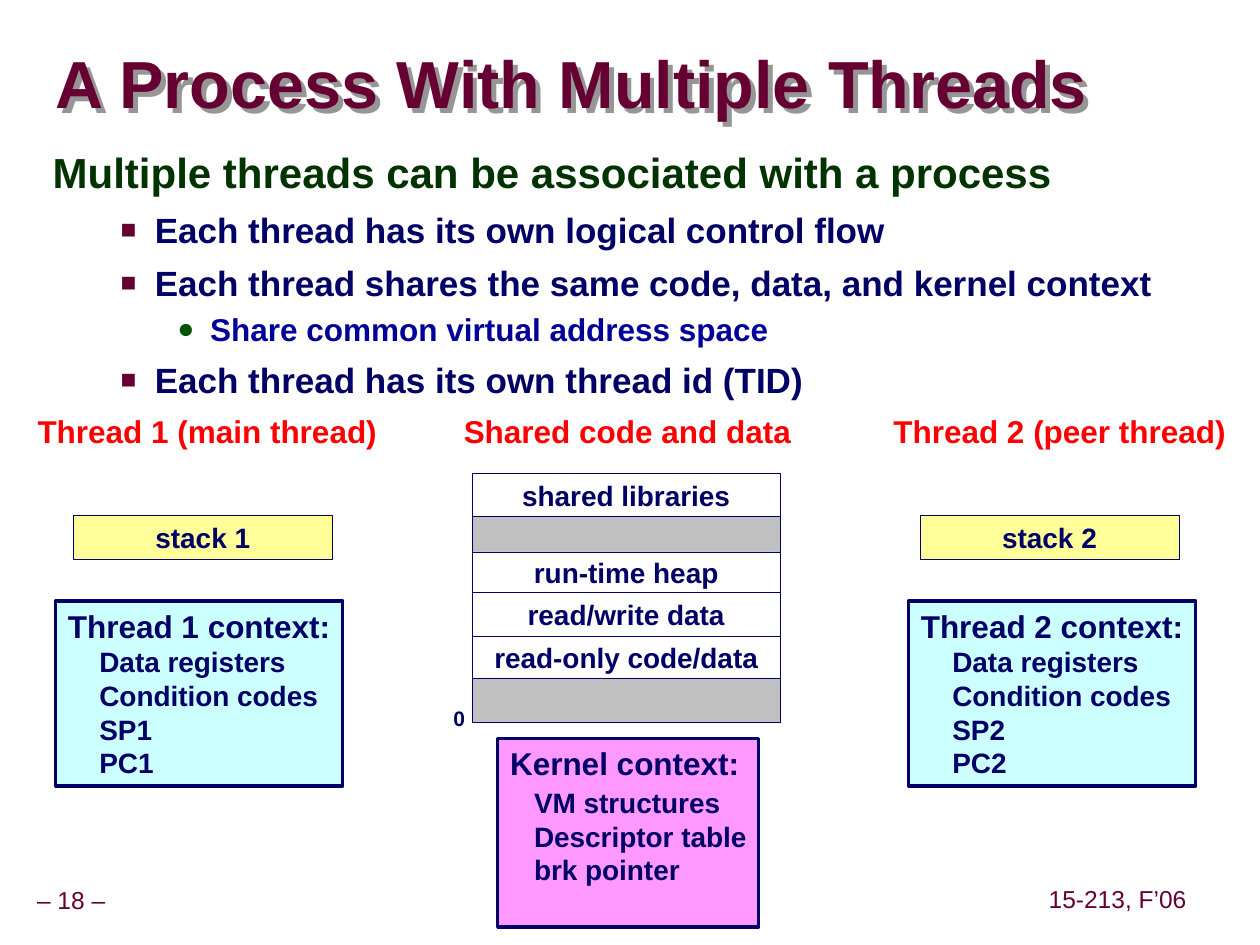
import pptx
import pptx.dml.color
import pptx.enum.shapes
import pptx.enum.text
import pptx.oxml
import pptx.oxml.ns
import pptx.util
from pptx.util import Inches

ALIGN = pptx.enum.text.PP_ALIGN
ANCHOR = pptx.enum.text.MSO_ANCHOR
NAMESPACE = pptx.oxml.ns.nsdecls("a")

MAROON, NAVY, RED = "660033", "000066", "FF0000"
WHITE, GRAY, YELLOW, CYAN, PINK = "FFFFFF", "C0C0C0", "FFFF99", "CCFFFF", "FF99FF"

MEMORY_ROWS = [
    ("shared libraries", 0.34, WHITE),
    ("", 0.28, GRAY),
    ("run-time heap", 0.32, WHITE),
    ("read/write data", 0.35, WHITE),
    ("read-only code/data", 0.33, WHITE),
    ("", 0.35, GRAY),
]
THREADS = [
    (1, "Thread 1 (main thread)", (0.2, 3.22, 2.89, 0.4), 0.58, 0.44),
    (2, "Thread 2 (peer thread)", (6.99, 3.22, 2.84, 0.4), 7.3, 7.21),
]


def color(value):
    return pptx.dml.color.RGBColor.from_string(value)


def apply(target, values):
    for name, value in values.items():
        setattr(target, name, value)


class SlideBuilder:
    font_name = "Arial"

    def __init__(self, slide):
        self.slide = slide

    def paragraph(self, frame, text, size, ink=NAVY, bold=True, margin=0,
                  hanging=0, bullet=None, **layout):
        first = frame.paragraphs[0]
        paragraph = first if not first.runs else frame.add_paragraph()
        properties = paragraph._p.get_or_add_pPr()
        properties.set("marL", str(Inches(margin)))
        properties.set("indent", str(-Inches(hanging)))
        if bullet:
            character, bullet_ink, percent = bullet
            for element in (
                f'<a:buClr {NAMESPACE}><a:srgbClr val="{bullet_ink}"/></a:buClr>',
                f'<a:buSzPct {NAMESPACE} val="{percent * 1000}"/>',
                f'<a:buFont {NAMESPACE} typeface="{self.font_name}"/>',
                f'<a:buChar {NAMESPACE} char="{character}"/>',
            ):
                properties.append(pptx.oxml.parse_xml(element))
        apply(paragraph, layout)
        run = paragraph.add_run()
        run.text = text
        apply(run.font, {"name": self.font_name, "bold": bold,
                         "size": pptx.util.Pt(size)})
        run.font.color.rgb = color(ink)

    def frame(self, shape, anchor=ANCHOR.MIDDLE, wrap=False,
              insets=(0.1, 0.05, 0.1, 0.05)):
        left, top, right, bottom = map(Inches, insets)
        apply(shape.text_frame, {
            "word_wrap": wrap, "vertical_anchor": anchor,
            "margin_left": left, "margin_top": top,
            "margin_right": right, "margin_bottom": bottom,
        })
        return shape.text_frame

    def text_box(self, box, **options):
        return self.frame(self.slide.shapes.add_textbox(*map(Inches, box)), **options)

    def label(self, box, text, size, **options):
        frame = self.text_box(box, wrap=True, insets=(0, 0.05, 0, 0.05))
        self.paragraph(frame, text, size, alignment=ALIGN.CENTER, **options)

    def title(self, box, text):
        shape = self.slide.shapes.add_textbox(*map(Inches, box))
        frame = self.frame(shape, wrap=True, insets=(0, 0, 0, 0))
        self.paragraph(frame, text, 38, MAROON, line_spacing=0.87)
        shape._element.spPr.append(pptx.oxml.parse_xml(
            f'<a:effectLst {NAMESPACE}><a:outerShdw dist="50800" dir="2700000">'
            '<a:srgbClr val="969696"/></a:outerShdw></a:effectLst>'))

    def rectangle(self, box, fill, line_width=0.25):
        shape = self.slide.shapes.add_shape(
            pptx.enum.shapes.MSO_SHAPE.RECTANGLE, *map(Inches, box))
        shape.shadow.inherit = False
        shape.fill.solid()
        shape.fill.fore_color.rgb = color(fill)
        shape.line.color.rgb = color(NAVY)
        shape.line.width = pptx.util.Pt(line_width)
        return shape

    def segment(self, box, text, fill):
        shape = self.rectangle(box, fill)
        if text:
            self.paragraph(self.frame(shape), text, 16, alignment=ALIGN.CENTER)

    def context(self, box, heading, items, fill, margin, gap=0):
        frame = self.frame(self.rectangle(box, fill, 2), anchor=ANCHOR.TOP,
                           wrap=True, insets=(0.1, 0.05, 0, 0.05))
        self.paragraph(frame, heading, 18, alignment=ALIGN.LEFT)
        for index, item in enumerate(items):
            space = pptx.util.Pt(0 if index else gap)
            self.paragraph(frame, item, 16, margin=margin,
                           alignment=ALIGN.LEFT, space_before=space)


def main():
    presentation = pptx.Presentation()
    presentation.slide_width = Inches(10)
    presentation.slide_height = Inches(7.5)
    builder = SlideBuilder(presentation.slides.add_slide(presentation.slide_layouts[6]))

    footer = {"ink": MAROON, "bold": False, "line_spacing": 0.9}
    builder.label((-0.09, 7, 1.31, 0.31), "– 18 –", 14, **footer)
    builder.label((8.27, 6.99, 1.2, 0.31), "15-213, F’06", 14, **footer)
    builder.title((0.44, 0.27, 9.53, 0.85), "A Process With Multiple Threads")

    body = builder.text_box((0.32, 1.14, 9.09, 2.1), anchor=ANCHOR.TOP, wrap=True)
    builder.paragraph(body, "Multiple threads can be associated with a process",
                      24, "003300", line_spacing=0.95)
    point = {"size": 20, "margin": 0.81, "hanging": 0.27,
             "bullet": ("■", MAROON, 75), "space_before": pptx.util.Pt(6.2)}
    detail = {"size": 18, "ink": "000099", "margin": 1.25, "hanging": 0.26,
              "bullet": ("●", "005400", 90), "line_spacing": 1.07,
              "space_before": pptx.util.Pt(2.2)}
    for text, style in (
        ("Each thread has its own logical control flow", point),
        ("Each thread shares the same code, data, and kernel context", point),
        ("Share common virtual address space", detail),
        ("Each thread has its own thread id (TID)", point),
    ):
        builder.paragraph(body, text, **style)

    builder.label((3.55, 3.22, 2.86, 0.4), "Shared code and data", 18, ink=RED)
    top = 3.76
    for text, height, fill in MEMORY_ROWS:
        builder.segment((3.75, top, 2.44, height), text, fill)
        top += height
    zero = builder.text_box((3.5, 5.55, 0.29, 0.3), anchor=ANCHOR.TOP, wrap=True,
                            insets=(0.1, 0.05, 0, 0.05))
    builder.paragraph(zero, "0", 12)

    for number, heading, heading_box, stack_left, context_left in THREADS:
        builder.label(heading_box, heading, 18, ink=RED)
        builder.segment((stack_left, 4.09, 2.06, 0.35), f"stack {number}", YELLOW)
        builder.context(
            (context_left, 4.77, 2.28, 1.47), f"Thread {number} context:",
            ["Data registers", "Condition codes", f"SP{number}", f"PC{number}"],
            CYAN, 0.25)
    builder.context((3.95, 5.86, 2.07, 1.5), "Kernel context:",
                    ["VM structures", "Descriptor table", "brk pointer"],
                    PINK, 0.19, gap=2)

    presentation.save("out.pptx")


if __name__ == "__main__":
    main()
